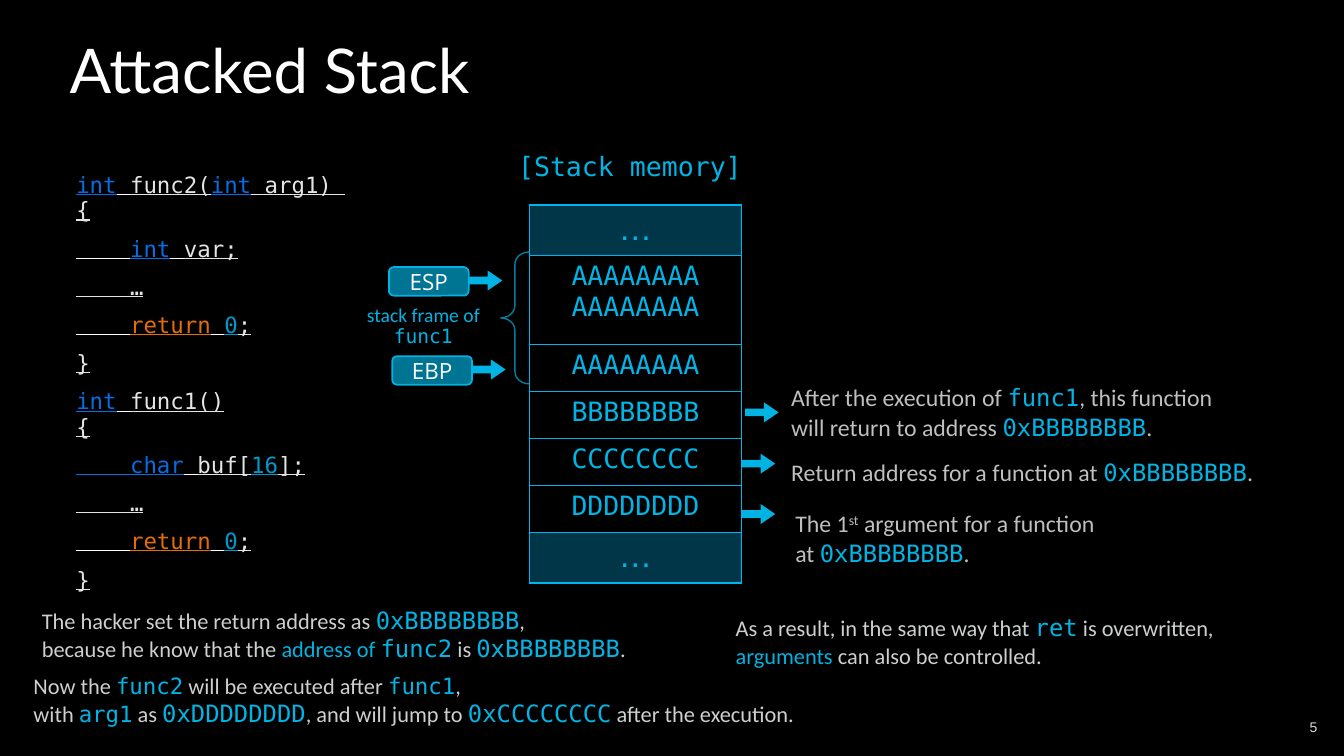
from pptx import Presentation
from pptx.dml.color import RGBColor
from pptx.enum.shapes import MSO_SHAPE
from pptx.enum.text import MSO_ANCHOR, PP_ALIGN
from pptx.oxml import parse_xml
from pptx.oxml.ns import nsdecls, qn
from pptx.util import Inches, Pt
from lxml.etree import SubElement

BLACK = RGBColor(0x00, 0x00, 0x00)
WHITE = RGBColor(0xFF, 0xFF, 0xFF)
PALE = RGBColor(0xE3, 0xE4, 0xE5)
NUMBER_GRAY = RGBColor(0xD9, 0xD9, 0xD9)
SILVER = RGBColor(0xCD, 0xCF, 0xD0)
GRAY = RGBColor(0xBF, 0xBF, 0xBF)
CYAN = RGBColor(0x00, 0xB3, 0xE3)
BRIGHT_CYAN = RGBColor(0x00, 0xB4, 0xE5)
BORDER_CYAN = RGBColor(0x00, 0xB3, 0xED)
BLUE = RGBColor(0x06, 0x6D, 0xE2)
ORANGE = RGBColor(0xE4, 0x6C, 0x0A)
TEAL = RGBColor(0x00, 0x99, 0xCC)

MONO = "DejaVu Sans Mono"

# Style key: font, size, colour
STYLES = {
    "title": ("Lato", 44, WHITE),
    "page": ("Arial", 10, NUMBER_GRAY),
    "badge": ("Open Sans", 16, WHITE),
    "dots": ("Arial", 24, BRIGHT_CYAN),
    "cell": (MONO, 19, BRIGHT_CYAN),
    "side": ("Calibri", 17, GRAY),
    "sup": ("Calibri", 17, GRAY),
    "body": ("Calibri", 16, SILVER),
    "key": ("Calibri", 16, CYAN),
    "hex": (MONO, 17, BRIGHT_CYAN),
    "name": (MONO, 16, BRIGHT_CYAN),
    "frame": ("Calibri", 14, CYAN),
    "frame_name": (MONO, 14, CYAN),
    "code": (MONO, 16, PALE),
    "gap": (MONO, 16, WHITE),
    "type": (MONO, 16, BLUE),
    "flow": (MONO, 16, ORANGE),
    "digit": (MONO, 16, TEAL),
}
UNDERLINED = {"code", "gap", "type", "flow", "digit"}

COLUMNS, ROWS = 160, 90
BADGE_WIDTH, BADGE_HEIGHT = 9.5, 3.4
ARROW_WIDTH, ARROW_HEIGHT = 4, 2.4


def fade(properties, percent):
    """Make the first colour among the properties partly transparent."""
    color = next(properties.iter(qn("a:srgbClr")))
    SubElement(color, qn("a:alpha")).set("val", str(percent * 1000))


class StackSlide:
    def __init__(self, presentation):
        self.column = presentation.slide_width / COLUMNS
        self.row = presentation.slide_height / ROWS
        self.slide = presentation.slides.add_slide(presentation.slide_layouts[6])
        self.slide.background.fill.solid()
        self.slide.background.fill.fore_color.rgb = BLACK

    def place(self, left, top, width, height):
        return (round(left * self.column), round(top * self.row),
                round(width * self.column), round(height * self.row))

    def set_lines(self, text_frame, lines, align=PP_ALIGN.LEFT, before=0, spacing=None):
        """Each line holds 'style:words' pieces parted by '|'; a leading '+' drops the space before."""
        for index, line in enumerate(lines):
            paragraph = text_frame.add_paragraph() if index else text_frame.paragraphs[0]
            paragraph.alignment = align
            paragraph.space_before = Pt(0 if line.startswith("+") else before)
            if spacing:
                paragraph.line_spacing = Pt(spacing)
            for piece in line.lstrip("+").split("|"):
                style, _, words = piece.partition(":")
                run = paragraph.add_run()
                run.text = words
                run.font.name, size, run.font.color.rgb = STYLES[style]
                run.font.size = Pt(size)
                if style in UNDERLINED:
                    run.font.underline = True
                if style == "sup":
                    run.font._element.set("baseline", "30000")

    def text(self, box, lines, anchor=MSO_ANCHOR.TOP, **layout):
        text_frame = self.slide.shapes.add_textbox(*self.place(*box)).text_frame
        text_frame.word_wrap = True
        text_frame.vertical_anchor = anchor
        self.set_lines(text_frame, lines, **layout)

    def shape(self, kind, box, adjustments, line_width=None, fill=CYAN):
        shape = self.slide.shapes.add_shape(kind, *self.place(*box))
        shape.shadow.inherit = False
        for index, value in enumerate(adjustments):
            shape.adjustments[index] = value
        if fill is None:
            shape.fill.background()
        else:
            shape.fill.solid()
            shape.fill.fore_color.rgb = fill
        if line_width is None:
            shape.line.fill.background()
        else:
            shape.line.color.rgb = CYAN
            shape.line.width = Pt(line_width)
        return shape

    def arrow(self, left, top):
        self.shape(MSO_SHAPE.RIGHT_ARROW, (left, top, ARROW_WIDTH, ARROW_HEIGHT), (0.38, 0.73))

    def brace(self, box):
        brace = self.shape(MSO_SHAPE.LEFT_BRACE, box, (0.43, 0.5), 1, fill=None)
        fade(brace._element.spPr, 70)

    def pointer(self, label, left, top):
        self.arrow(left + BADGE_WIDTH, top + 0.4)
        badge = self.shape(MSO_SHAPE.ROUNDED_RECTANGLE,
                           (left, top, BADGE_WIDTH, BADGE_HEIGHT), (0.17,), 1.25)
        fade(badge._element.spPr, 65)
        badge.text_frame.vertical_anchor = MSO_ANCHOR.MIDDLE
        self.set_lines(badge.text_frame, [f"badge:{label}"], PP_ALIGN.CENTER)

    def table(self, left, top, width, contents, heights):
        box = self.place(left, top, width, sum(heights))
        table = self.slide.shapes.add_table(len(contents), 1, *box).table
        table.first_row = table.horz_banding = False
        for row, lines, height in zip(table.rows, contents, heights):
            row.height = round(height * self.row)
            cell = row.cells[0]
            self.set_lines(cell.text_frame, lines, PP_ALIGN.CENTER)
            if lines[0].startswith("dots"):
                cell.fill.solid()
                cell.fill.fore_color.rgb = BORDER_CYAN
                fade(cell._tc.tcPr, 30)
            else:
                cell.margin_left = cell.margin_right = Inches(0.13)
                cell.fill.background()
            for index, side in enumerate(("lnL", "lnR", "lnT", "lnB")):
                cell._tc.tcPr.insert(index, parse_xml(
                    f'<a:{side} {nsdecls("a")} w="12192"><a:solidFill>'
                    f'<a:srgbClr val="{BORDER_CYAN}"/></a:solidFill></a:{side}>'))


presentation = Presentation()
presentation.slide_width, presentation.slide_height = Inches(13.33), Inches(7.5)
stack = StackSlide(presentation)

# Title and page number
stack.text((7.1, 3.2, 57.4, 10), ["title:Attacked Stack"])
stack.text((122, 84.2, 36, 4.8), ["page:5"], MSO_ANCHOR.MIDDLE, align=PP_ALIGN.RIGHT)

# Stack memory
stack.text((57, 17.2, 36, 5), ["cell:[Stack memory]"], align=PP_ALIGN.CENTER)
overwritten = [[f"cell:{letter * 8}"] for letter in "ABCD"]
stack.table(63, 24.4, 25.3,
            [["dots:…"], ["cell:AAAAAAAA"] * 2, *overwritten, ["dots:…"]],
            [5.6, 10.6] + [5.6] * 5)

# Stack frame and its pointers
stack.brace((59.6, 30, 3.4, 15.7))
stack.pointer("ESP", 46.3, 31.8)
stack.pointer("EBP", 46.7, 42.4)
stack.text((40.8, 36, 19.2, 6), ["frame:stack frame of", "frame_name:func1"],
           align=PP_ALIGN.CENTER, before=0.5, spacing=14)

# Source code
ending = ["code:    …", "gap:    |flow:return|gap: |digit:0|code:;", "code:}"]
stack.text((7.9, 20, 43, 46), [
    "type:int|gap: |code:func2(|type:int|code: arg1) ", "+code:{",
    "gap:    |type:int|gap: |code:var;", *ending,
    "type:int|gap: |code:func1()", "+code:{",
    "type:    char|gap: |code:buf[|digit:16|code:];", *ending,
], before=9.3, spacing=18)

# Meaning of the overwritten cells
for left, top in ((88.7, 47.9), (88.3, 54), (88.3, 60)):
    stack.arrow(left, top)
target = "hex:0xBBBBBBBB|side:."
for box, lines in (
    ((93, 45, 62, 8), ["side:After the execution of |hex:func1|side:, this function",
                       f"side:will return to address |{target}"]),
    ((93, 53.9, 66.4, 4.6), [f"side:Return address for a function at |{target}"]),
    ((93.5, 60, 47.5, 8), ["side:The 1|sup:st|side: argument for a function ",
                           f"side:at |{target}"]),
):
    stack.text(box, lines, before=0.5)

# Conclusions
for box, lines in (
    ((3.8, 71.5, 82.6, 7.8), [
        "body:The hacker set the return address as |hex:0xBBBBBBBB|body:,",
        "+body:because he know that the |key:address of |hex:func2|body: is |hex:0xBBBBBBBB|body:."]),
    ((86.4, 72.4, 72.2, 7.8), [
        "body:As a result, in the same way that |hex:ret|body: is overwritten,",
        "+key:arguments|body: can also be controlled."]),
    ((2.8, 79.4, 104.8, 7.8), [
        "body:Now the |name:func2|body: will be executed after |name:func1|body:, ",
        "+body:with |name:arg1|body: as |hex:0xDDDDDDDD|body:, and will jump to "
        "|hex:0xCCCCCCCC|body: after the execution."]),
):
    stack.text(box, lines, before=1.5)

presentation.save("out.pptx")
